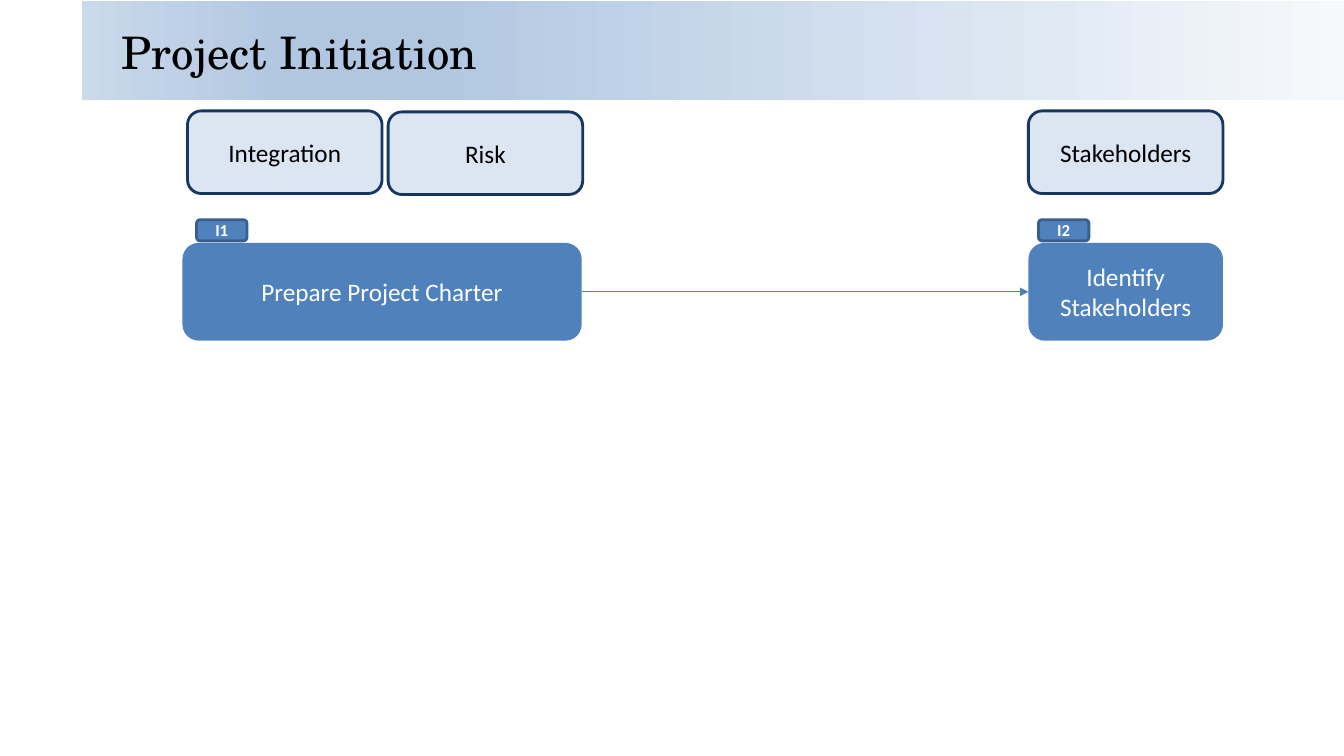
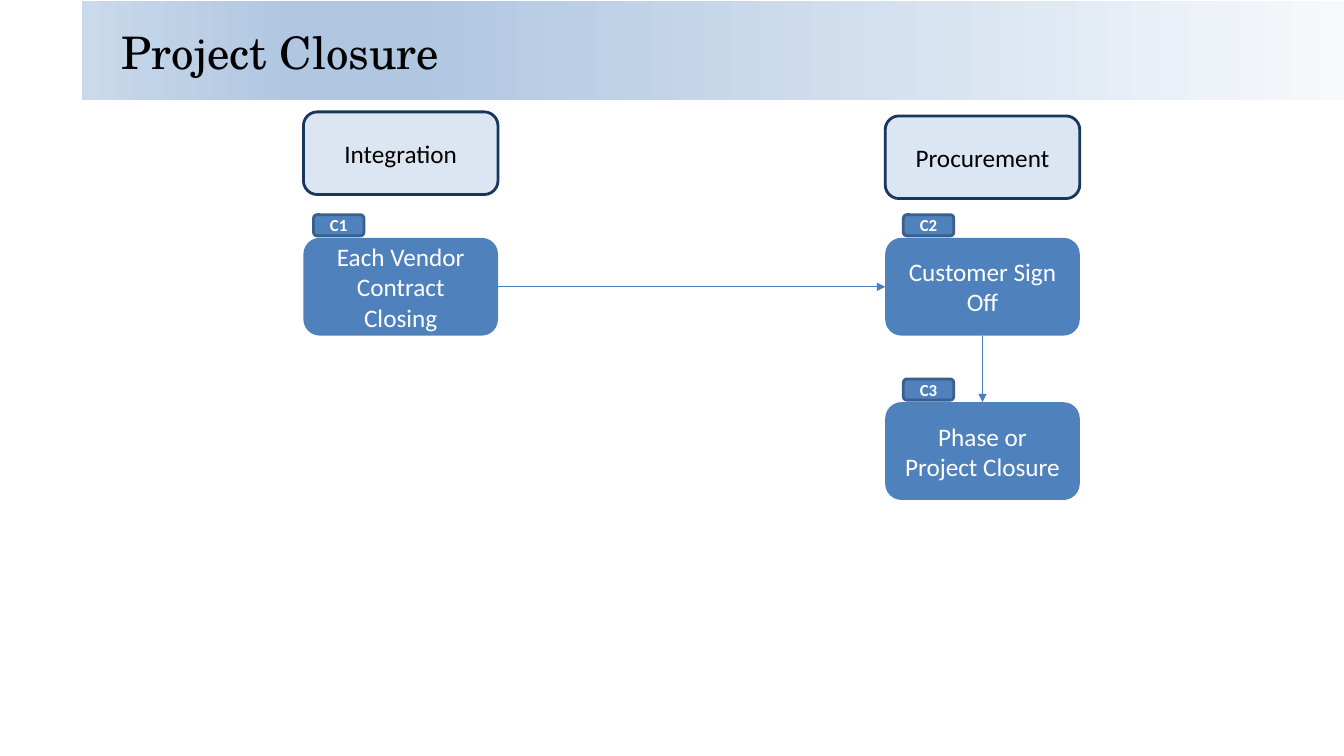
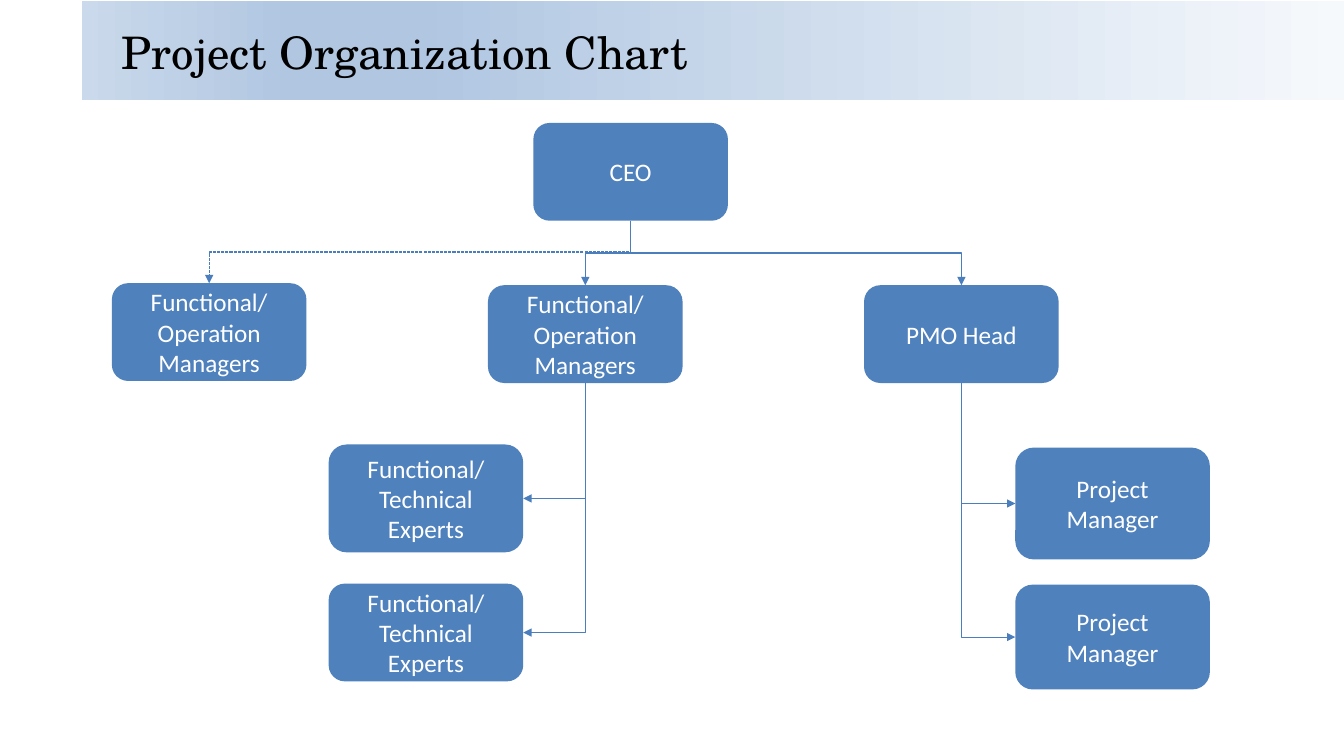
"""Build the project initiation, closure and organization chart slides."""
from dataclasses import dataclass

from lxml.etree import SubElement
from pptx import Presentation
from pptx.dml.color import RGBColor
from pptx.enum.dml import MSO_LINE
from pptx.enum.shapes import MSO_CONNECTOR, MSO_SHAPE
from pptx.enum.text import MSO_ANCHOR, PP_ALIGN
from pptx.oxml.ns import qn
from pptx.util import Inches, Pt


@dataclass(frozen=True)
class BoxStyle:
    fill: str
    line: str | None
    text: str
    size: int
    bold: bool
    width: float
    height: float


@dataclass(frozen=True)
class Theme:
    title_font: str = "TeX Gyre Schola"
    title_size: int = 32
    title_color: str = "000000"
    body_font: str = "Calibri"
    link: str = "4B7EBC"
    link_width: float = 0.75
    outline_width: float = 2
    band_stops: tuple = ((0, "F6F9FC"), (74, "B0C6E1"), (83, "B0C6E1"), (100, "CAD9EB"))
    area: BoxStyle = BoxStyle("DCE6F2", "17375E", "000000", 18, False, 1.93, 0.82)
    task: BoxStyle = BoxStyle("4F81BD", None, "FFFFFF", 18, False, 1.93, 0.97)
    tag: BoxStyle = BoxStyle("4F81BD", "3A5F8C", "FFFFFF", 12, True, 0.5, 0.21)


THEME = Theme()
TOP, LEFT, BOTTOM, RIGHT = range(4)


def add_box(slide, style, text, left, top, width=None, height=None):
    shape = slide.shapes.add_shape(
        MSO_SHAPE.ROUNDED_RECTANGLE, Inches(left), Inches(top),
        Inches(width or style.width), Inches(height or style.height))
    shape.shadow.inherit = False
    shape.fill.solid()
    shape.fill.fore_color.rgb = RGBColor.from_string(style.fill)
    if style.line:
        shape.line.color.rgb = RGBColor.from_string(style.line)
        shape.line.width = Pt(THEME.outline_width)
    else:
        shape.line.fill.background()
    frame = shape.text_frame
    frame.word_wrap = True
    frame.vertical_anchor = MSO_ANCHOR.MIDDLE
    frame.text = text
    paragraph = frame.paragraphs[0]
    paragraph.alignment = PP_ALIGN.CENTER
    font = paragraph.runs[0].font
    font.name, font.size, font.bold = THEME.body_font, Pt(style.size), style.bold
    font.color.rgb = RGBColor.from_string(style.text)
    return shape


def add_arrow(slide, start, start_side, end, end_side, dashed=False):
    straight = (start_side, end_side) == (RIGHT, LEFT) or start.left == end.left
    kind = MSO_CONNECTOR.STRAIGHT if straight else MSO_CONNECTOR.ELBOW
    connector = slide.shapes.add_connector(kind, 0, 0, 0, 0)
    connector.begin_connect(start, start_side)
    connector.end_connect(end, end_side)
    properties = connector.element.spPr
    if not straight:
        run = connector.end_x - connector.begin_x
        drop = connector.end_y - connector.begin_y
        middle_x = (connector.begin_x + connector.end_x) // 2
        middle_y = (connector.begin_y + connector.end_y) // 2
        connector.width, connector.height = drop, abs(run)
        connector.left = middle_x - drop // 2
        connector.top = middle_y - abs(run) // 2
        transform = properties.find(qn("a:xfrm"))
        transform.set("rot", str((270 if run > 0 else 90) * 60000))
        transform.set("flipH", "1" if run > 0 else "0")
        if end_side != TOP:
            properties.find(qn("a:prstGeom")).set("prst", "bentConnector2")
    connector.line.color.rgb = RGBColor.from_string(THEME.link)
    connector.line.width = Pt(THEME.link_width)
    if dashed:
        connector.line.dash_style = MSO_LINE.SQUARE_DOT
    SubElement(properties.find(qn("a:ln")), qn("a:tailEnd"), type="triangle")
    SubElement(properties, qn("a:effectLst"))


presentation = Presentation()
presentation.slide_width, presentation.slide_height = Inches(13.33), Inches(7.5)
layout = presentation.slide_layouts[5]

slides = []
for title_text in ("Project Initiation", "Project Closure", "Project Organization Chart"):
    slide = presentation.slides.add_slide(layout)
    title = slide.shapes.title
    title.left, title.top = Inches(1.11), Inches(0.06)
    title.width, title.height = Inches(11.78), Inches(0.91)
    title.text_frame.text = title_text
    title.text_frame.vertical_anchor = MSO_ANCHOR.MIDDLE
    paragraph = title.text_frame.paragraphs[0]
    paragraph.alignment = PP_ALIGN.LEFT
    font = paragraph.runs[0].font
    font.name, font.size = THEME.title_font, Pt(THEME.title_size)
    font.color.rgb = RGBColor.from_string(THEME.title_color)
    slides.append(slide)
initiation, closure, organization = slides

band = initiation.shapes.add_shape(
    MSO_SHAPE.RECTANGLE, Inches(0.81), Inches(0.01), Inches(12.53), Inches(0.98))
band.shadow.inherit = False
band.line.fill.background()
band.fill.gradient()
band.fill.gradient_angle = 180
stop_list = band.element.spPr.find(".//" + qn("a:gsLst"))
stop_list.clear()
for position, color in THEME.band_stops:
    stop = SubElement(stop_list, qn("a:gs"), pos=str(position * 1000))
    SubElement(stop, qn("a:srgbClr"), val=color)
layout.shapes.element.insert(2, band.element)

charter = add_box(initiation, THEME.task, "Prepare Project Charter", 1.81, 2.41, width=3.96)
identify = add_box(initiation, THEME.task, "Identify Stakeholders", 10.2, 2.41)
add_arrow(initiation, charter, RIGHT, identify, LEFT)

vendor = add_box(closure, THEME.task, "Each Vendor Contract Closing", 3.01, 2.36)
sign_off = add_box(closure, THEME.task, "Customer Sign Off", 8.78, 2.36)
phase_end = add_box(closure, THEME.task, "Phase or Project Closure", 8.78, 3.99)
add_arrow(closure, vendor, RIGHT, sign_off, LEFT)
add_arrow(closure, sign_off, BOTTOM, phase_end, TOP)

for slide, style, text, left, top in (
    (initiation, THEME.area, "Risk", 3.85, 1.11),
    (initiation, THEME.area, "Integration", 1.86, 1.1),
    (initiation, THEME.area, "Stakeholders", 10.2, 1.1),
    (initiation, THEME.tag, "I1", 1.95, 2.18),
    (initiation, THEME.tag, "I2", 10.3, 2.18),
    (closure, THEME.area, "Procurement", 8.78, 1.15),
    (closure, THEME.area, "Integration", 3.01, 1.11),
    (closure, THEME.tag, "C1", 3.11, 2.13),
    (closure, THEME.tag, "C2", 8.96, 2.13),
    (closure, THEME.tag, "C3", 8.96, 3.76),
):
    add_box(slide, style, text, left, top)

ceo = add_box(organization, THEME.task, "CEO", 5.29, 1.22)
pmo_head = add_box(organization, THEME.task, "PMO Head", 8.57, 2.83)
managers, outer_managers = [
    add_box(organization, THEME.task, "Functional/ Operation Managers", left, top)
    for left, top in ((4.84, 2.83), (1.11, 2.81))]
for head in (pmo_head, managers):
    add_arrow(organization, ceo, BOTTOM, head, TOP)
add_arrow(organization, ceo, BOTTOM, outer_managers, TOP, dashed=True)

for head, side, text, left, top, height in (
    (pmo_head, LEFT, "Project Manager", 10.07, 4.44, 1.11),
    (pmo_head, LEFT, "Project Manager", 10.07, 5.8, 1.04),
    (managers, RIGHT, "Functional/ Technical Experts", 3.26, 4.41, 1.07),
    (managers, RIGHT, "Functional/ Technical Experts", 3.26, 5.79, 0.97),
):
    member = add_box(organization, THEME.task, text, left, top, height=height)
    add_arrow(organization, head, BOTTOM, member, side)

presentation.save("out.pptx")
